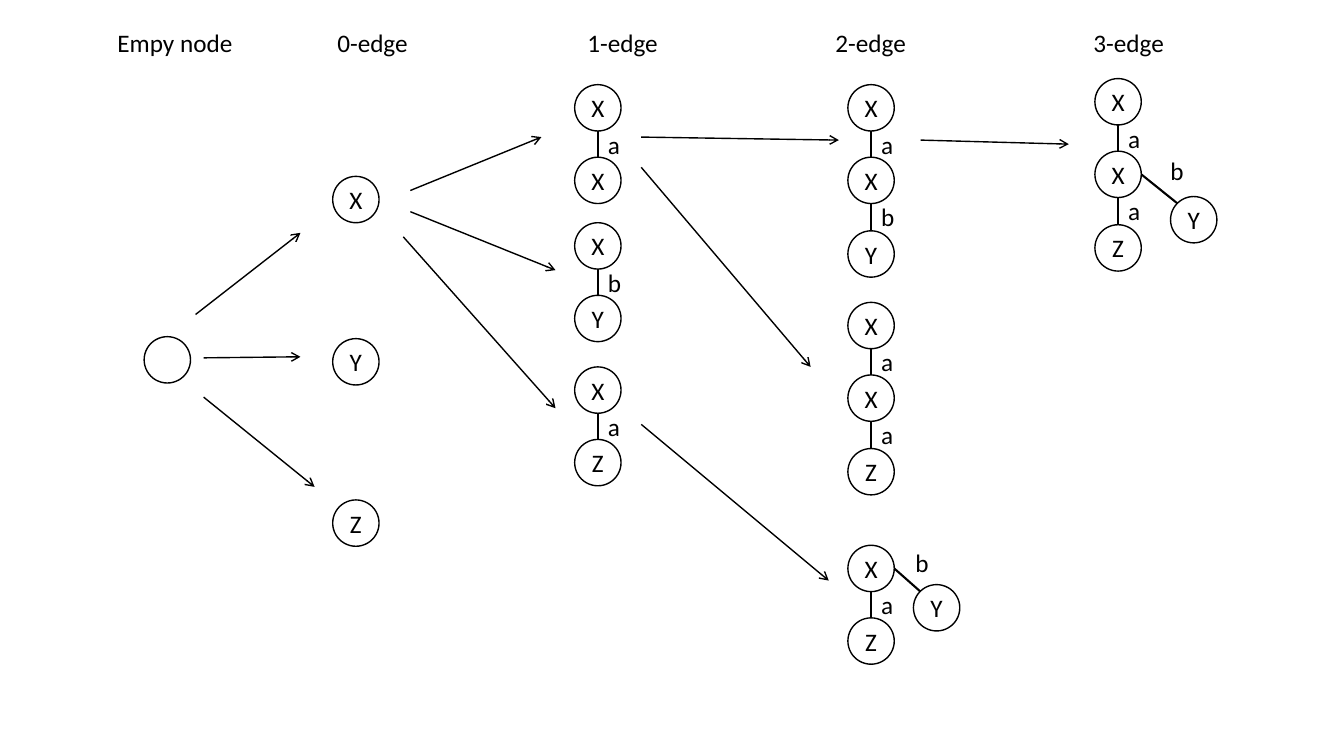
from math import sqrt

from lxml import etree
from pptx import Presentation
from pptx.dml.color import RGBColor
from pptx.enum.shapes import MSO_CONNECTOR, MSO_SHAPE
from pptx.enum.text import MSO_ANCHOR, MSO_AUTO_SIZE, PP_ALIGN
from pptx.oxml.ns import qn
from pptx.util import Inches, Pt

BLACK = RGBColor(0x00, 0x00, 0x00)
WHITE = RGBColor(0xFF, 0xFF, 0xFF)

HEADINGS = [
    ("Empy node", 0.87),
    ("0-edge", 2.83),
    ("1-edge", 5.31),
    ("2-edge", 7.77),
    ("3-edge", 10.33),
]

# (left, top, nodes from top to bottom, edge labels between them)
CHAINS = [
    (1.43, 3.34, [""], ""),
    (3.3, 1.75, "X", ""),
    (3.3, 3.36, "Y", ""),
    (3.3, 4.96, "Z", ""),
    (5.7, 0.84, "XX", "a"),
    (5.7, 2.21, "XY", "b"),
    (5.7, 3.64, "XZ", "a"),
    (8.41, 0.84, "XXY", "ab"),
    (8.41, 3.0, "XXZ", "aa"),
    (8.41, 5.41, "XZ", "a"),
    (10.86, 0.78, "XXZ", "aa"),
]

BRANCHES = [
    {"parent": (8.41, 5.41), "node": ("Y", 9.06, 5.8), "edge": ("b", 8.98, 5.38)},
    {"parent": (10.86, 1.5), "node": ("Y", 11.61, 1.95), "edge": ("b", 11.51, 1.49)},
]

ARROWS = [
    ((1.94, 3.12), (2.98, 2.31)),
    ((2.02, 3.55), (2.98, 3.54)),
    ((2.02, 3.94), (3.12, 4.83)),
    ((4.07, 1.89), (5.37, 1.36)),
    ((4.07, 2.1), (5.51, 2.68)),
    ((4.0, 2.35), (5.51, 4.05)),
    ((6.36, 1.36), (8.32, 1.39)),
    ((6.36, 1.66), (8.04, 3.64)),
    ((6.36, 4.21), (8.22, 5.76)),
    ((9.13, 1.39), (10.6, 1.43)),
]

HEADING_TOP, HEADING_WIDTH = 0.22, 1.73
LABEL_WIDTH, TEXT_HEIGHT = 0.42, 0.4
DIAMETER = 0.46
RADIUS = DIAMETER / 2
NODE_OFFSETS = (0, 0.72, 1.45)
LABEL_DROP = 0.39

prs = Presentation()
prs.slide_width, prs.slide_height = Inches(13.33), Inches(7.5)
slide = prs.slides.add_slide(prs.slide_layouts[6])


def write(frame, text, align):
    paragraph = frame.paragraphs[0]
    paragraph.text = text
    paragraph.alignment = align
    paragraph.font.name = "Calibri"
    paragraph.font.size = Pt(18)
    paragraph.font.color.rgb = BLACK


def add_label(text, left, top, width=LABEL_WIDTH, align=PP_ALIGN.LEFT):
    label = slide.shapes.add_textbox(
        Inches(left), Inches(top), Inches(width), Inches(TEXT_HEIGHT))
    label.text_frame.word_wrap = True
    label.text_frame.auto_size = MSO_AUTO_SIZE.SHAPE_TO_FIT_TEXT
    write(label.text_frame, text, align)


def add_node(text, left, top):
    node = slide.shapes.add_shape(
        MSO_SHAPE.OVAL, Inches(left), Inches(top), Inches(DIAMETER), Inches(DIAMETER))
    node.shadow.inherit = False
    node.fill.solid()
    node.fill.fore_color.rgb = WHITE
    node.line.color.rgb = BLACK
    node.line.width = Pt(1)
    if text:
        frame = node.text_frame
        frame.margin_left = frame.margin_right = 0
        frame.margin_top = frame.margin_bottom = 0
        frame.vertical_anchor = MSO_ANCHOR.MIDDLE
        write(frame, text, PP_ALIGN.CENTER)


def add_line(start, end, width, arrow=False):
    line = slide.shapes.add_connector(
        MSO_CONNECTOR.STRAIGHT, *(Inches(value) for value in (*start, *end)))
    line.line.color.rgb = BLACK
    line.line.width = Pt(width)
    if arrow:
        etree.SubElement(line.line._get_or_add_ln(), qn("a:tailEnd"), type="arrow")
    etree.SubElement(line._element.spPr, qn("a:effectLst"))


for heading, left in HEADINGS:
    add_label(heading, left, HEADING_TOP, HEADING_WIDTH, PP_ALIGN.CENTER)

for left, top, nodes, edges in CHAINS:
    tops = [top + offset for offset in NODE_OFFSETS]
    center = left + RADIUS
    for node, node_top in zip(nodes, tops):
        add_node(node, left, node_top)
    for edge, upper, lower in zip(edges, tops, tops[1:]):
        add_line((center, upper + DIAMETER), (center, lower), 1.5)
        add_label(edge, center, upper + LABEL_DROP)

corner = RADIUS * (1 - 1 / sqrt(2))
for branch in BRANCHES:
    parent_left, parent_top = branch["parent"]
    node, left, top = branch["node"]
    add_node(node, left, top)
    add_line((parent_left + DIAMETER, parent_top + RADIUS),
             (left + corner, top + corner), 1.5)
    add_label(*branch["edge"])

for start, end in ARROWS:
    add_line(start, end, 1, arrow=True)

prs.save("out.pptx")
